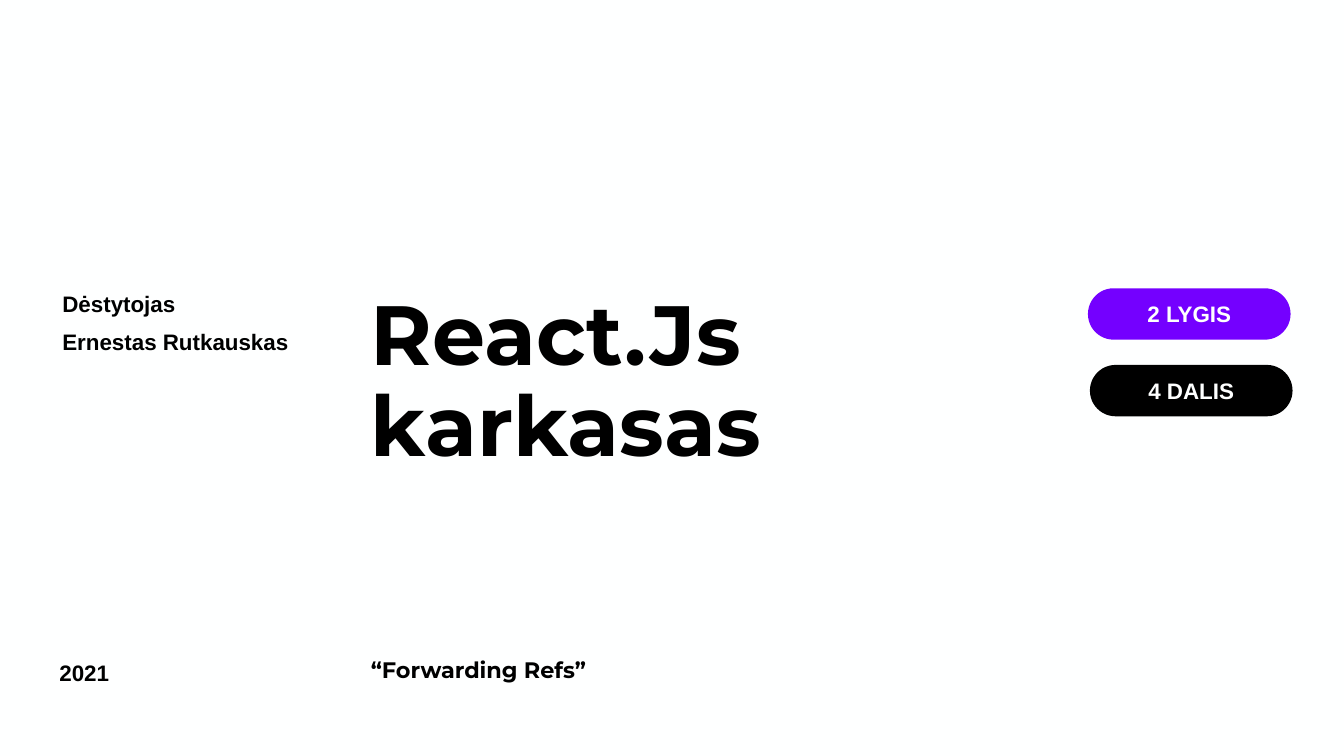
from dataclasses import dataclass

from pptx import Presentation
from pptx.dml.color import RGBColor
from pptx.enum.shapes import MSO_SHAPE
from pptx.enum.text import MSO_ANCHOR, PP_ALIGN
from pptx.slide import Slide
from pptx.text.text import TextFrame
from pptx.util import Inches, Pt

ROUNDED = MSO_SHAPE.ROUNDED_RECTANGLE
MIDDLE, TOP = MSO_ANCHOR.MIDDLE, MSO_ANCHOR.TOP
CENTER = PP_ALIGN.CENTER

BLACK, WHITE, VIOLET = "000000", "FEFFFF", "7400FF"
CONTENT_TOP, FOOTER_TOP = 2.86, 6.49
CONTENT_HEIGHT, FOOTER_HEIGHT = 2.61, 1.01
TITLE_LEFT, TITLE_WIDTH = 3.58, 7.71
PILL_WIDTH, PILL_HEIGHT, PILL_STEP = 2.01, 0.51, 0.76


@dataclass(frozen=True)
class Label:
    text: str
    left: float
    top: float
    width: float
    height: float
    font: str = "Arial"
    size: int = 16
    line_spacing: float = 0.9


@dataclass(frozen=True)
class Pill:
    text: str
    left: float
    fill: str


LABELS = [
    Label("React.Js karkasas", TITLE_LEFT, CONTENT_TOP, TITLE_WIDTH, CONTENT_HEIGHT,
          font="Montserrat", size=60),
    Label("“Forwarding Refs”", TITLE_LEFT, FOOTER_TOP, TITLE_WIDTH, FOOTER_HEIGHT,
          font="Montserrat"),
    Label("2021", 0.49, FOOTER_TOP, 2.58, FOOTER_HEIGHT, line_spacing=1.0),
    Label("Dėstytojas\nErnestas Rutkauskas", 0.52, CONTENT_TOP, 2.55, CONTENT_HEIGHT),
]
PILLS = [Pill("2 LYGIS", 10.79, VIOLET), Pill("4 DALIS", 10.81, BLACK)]


def color(value: str) -> RGBColor:
    return RGBColor.from_string(value)


def write_bold(frame: TextFrame, text: str, font: str, size: int, ink: str) -> None:
    frame.word_wrap = True
    frame.text = text
    for para in frame.paragraphs:
        for span in para.runs:
            span.font.name = font
            span.font.size = Pt(size)
            span.font.bold = True
            span.font.color.rgb = color(ink)


def add_label(page: Slide, label: Label) -> None:
    box = page.shapes.add_textbox(Inches(label.left), Inches(label.top),
                                  Inches(label.width), Inches(label.height))
    frame = box.text_frame
    write_bold(frame, label.text, label.font, label.size, BLACK)
    frame.vertical_anchor = TOP
    for index, para in enumerate(frame.paragraphs):
        para.line_spacing = label.line_spacing
        if index:
            para.space_before = Pt(10)


def add_pill(page: Slide, pill: Pill, top: float) -> None:
    shape = page.shapes.add_shape(ROUNDED, Inches(pill.left), Inches(top),
                                  Inches(PILL_WIDTH), Inches(PILL_HEIGHT))
    shape.adjustments[0] = 0.5
    shape.shadow.inherit = False
    shape.fill.solid()
    shape.fill.fore_color.rgb = color(pill.fill)
    shape.line.fill.background()
    frame = shape.text_frame
    write_bold(frame, pill.text, "Arial", 16, WHITE)
    frame.vertical_anchor = MIDDLE
    frame.paragraphs[0].alignment = CENTER


def main() -> None:
    deck = Presentation()
    deck.slide_width, deck.slide_height = Inches(13.33), Inches(7.5)
    page = deck.slides.add_slide(deck.slide_layouts[6])
    page.background.fill.solid()
    page.background.fill.fore_color.rgb = color(WHITE)
    for label in LABELS:
        add_label(page, label)
    for index, pill in enumerate(PILLS):
        add_pill(page, pill, CONTENT_TOP + index * PILL_STEP)
    deck.save("out.pptx")


if __name__ == "__main__":
    main()
